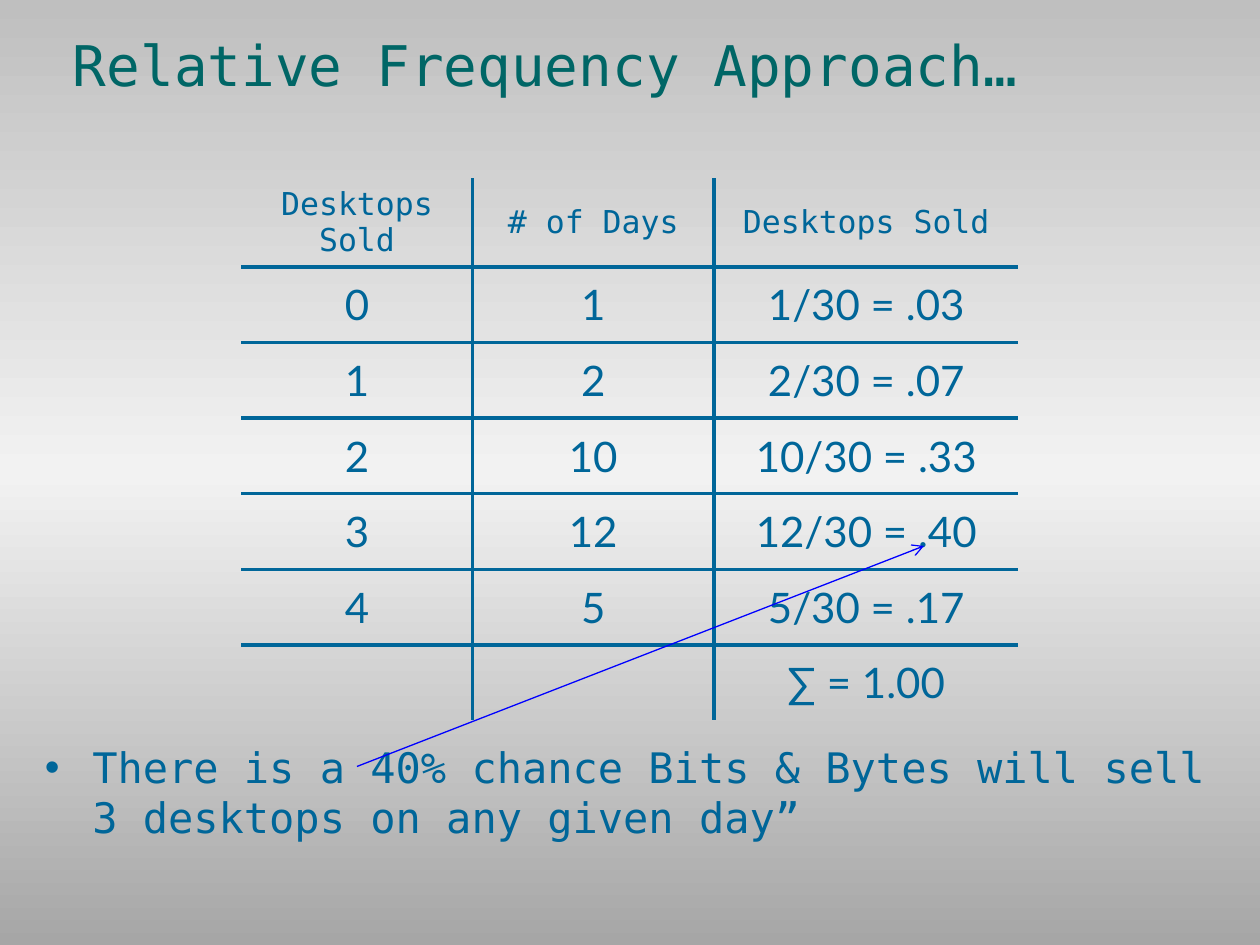
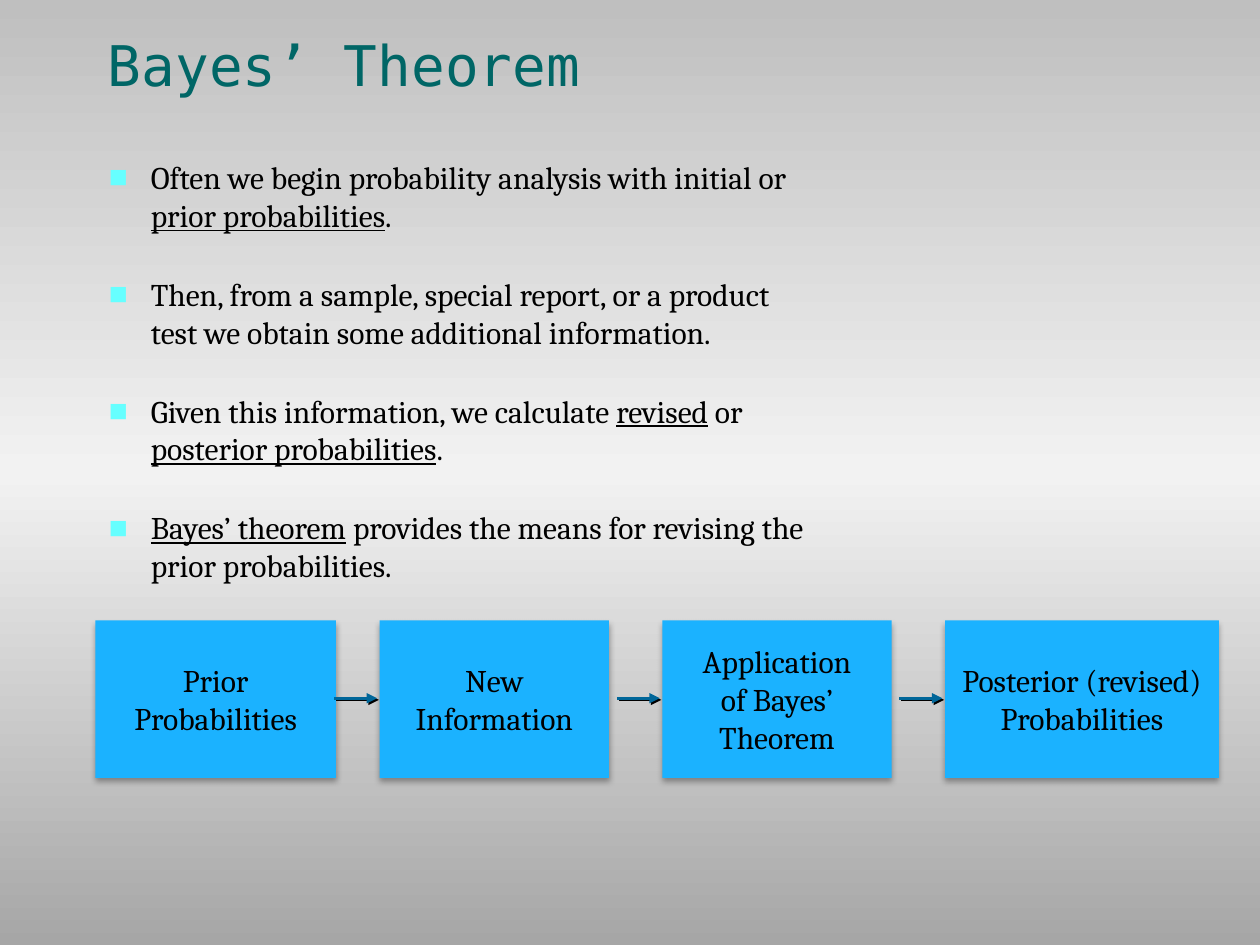
from copy import deepcopy

from lxml.etree import fromstring
from pptx import Presentation
from pptx.dml.color import RGBColor
from pptx.enum.shapes import MSO_CONNECTOR as Connector, MSO_SHAPE as Shape
from pptx.enum.text import MSO_ANCHOR as Anchor, MSO_AUTO_SIZE as AutoSize, PP_ALIGN as Align
from pptx.oxml.ns import nsdecls, qn
from pptx.util import Pt

MONO, SANS, SERIF = "DejaVu Sans Mono", "Lato", "Cambria"
TEAL, BLUE, BLACK = "006666", "006699", "000000"
SKY, CYAN, ARROW_BLUE = "1BB2FF", "66FFFF", "0000FF"
BACKGROUND = ["BFBFBF", "F2F2F2", "A6A6A6"]
EFFECTS = "<a:effectLst {ns}/>"
SHADOW = (
    '<a:effectLst {{ns}}><a:outerShdw blurRad="{blur}" dist="{distance}" dir="{angle}" rotWithShape="0">'
    '<a:srgbClr val="000000"><a:alpha val="{alpha}"/></a:srgbClr></a:outerShdw></a:effectLst>'
)
BOX_SHADOW = SHADOW.format(blur=Pt(3.5), distance=Pt(2.2), angle=5400000, alpha=32000)
ARROW_SHADOW = SHADOW.format(blur=0, distance=Pt(1.4), angle=2700000, alpha=100000)
from_hex = RGBColor.from_string


def append_xml(parent, markup):
    parent.append(fromstring(markup.replace("{ns}", nsdecls("a"))))


def write(frame, *texts, font=MONO, size=18, color=BLACK, align=Align.LEFT, line_spacing=1.0,
          gap=0, bullet=None, bullet_color=None, indent=0):
    """Fill a frame with one paragraph per text; words between underscores are underlined."""
    for index, text in enumerate(texts):
        paragraph = frame.add_paragraph() if index else frame.paragraphs[0]
        paragraph.alignment = align
        paragraph.line_spacing = line_spacing
        paragraph.space_before = Pt(gap if index else 0)
        if bullet:
            properties = paragraph._p.get_or_add_pPr()
            properties.set("marL", str(Pt(indent)))
            properties.set("indent", str(-Pt(indent)))
            append_xml(properties, f'<a:buClr {{ns}}><a:srgbClr val="{bullet_color or color}"/></a:buClr>')
            append_xml(properties, f'<a:buChar {{ns}} char="{bullet}"/>')
        for part, piece in enumerate(text.split("_")):
            if piece:
                run = paragraph.add_run()
                run.text = piece
                run.font.name = font
                run.font.size = Pt(size)
                run.font.color.rgb = from_hex(color)
                if part % 2:
                    run.font.underline = True


presentation = Presentation()
presentation.slide_width, presentation.slide_height = Pt(720), Pt(540)

# Shared gradient background
master = presentation.slide_master
background = master.background.fill
background.gradient()
background.gradient_angle = 270
stop_list = master.element.find(".//" + qn("a:gsLst"))
stop_list.append(deepcopy(stop_list[-1]))
for index, (stop, color) in enumerate(zip(background.gradient_stops, BACKGROUND)):
    stop.position = index / 2
    stop.color.rgb = from_hex(color)

# Slides with their titles and lists: (title, title box, list box, list anchor, items, item format)
contents = [
    ("Relative Frequency Approach…", (34.5, 8, 649.5, 52), (18.5, 420, 701.5, 96), Anchor.TOP,
     ["There is a 40% chance Bits & Bytes will sell 3 desktops on any given day”"],
     dict(size=24, color=BLUE, bullet="•", indent=27)),
    ("Bayes’ Theorem", (54.5, 12, 612, 48), (55, 75, 416, 274), Anchor.MIDDLE,
     ["Often we begin probability analysis with initial or _prior probabilities_.",
      "Then, from a sample, special report, or a product test we obtain some additional information.",
      "Given this information, we calculate _revised_ or _posterior probabilities_.",
      "_Bayes’ theorem_ provides the means for revising the prior probabilities."],
     dict(font=SERIF, gap=23.5, bullet="■", bullet_color=CYAN, indent=24)),
]
slides = []
for title, title_box, list_box, list_anchor, items, item_format in contents:
    slide = presentation.slides.add_slide(presentation.slide_layouts[1])
    slides.append(slide)
    heading, body = slide.placeholders
    for placeholder, box, anchor in ((heading, title_box, Anchor.BOTTOM), (body, list_box, list_anchor)):
        placeholder.left, placeholder.top, placeholder.width, placeholder.height = map(Pt, box)
        frame = placeholder.text_frame
        frame.auto_size = AutoSize.NONE
        frame.word_wrap = True
        frame.vertical_anchor = anchor
    write(heading.text_frame, title, size=32, color=TEAL, line_spacing=0.9)
    write(body.text_frame, *items, **item_format)
frequency_slide, bayes_slide = slides

# Frequency table with inner rules only
rows = [
    ("Desktops Sold", "# of Days", "Desktops Sold"),
    ("0", "1", "1/30 = .03"),
    ("1", "2", "2/30 = .07"),
    ("2", "10", "10/30 = .33"),
    ("3", "12", "12/30 = .40"),
    ("4", "5", "5/30 = .17"),
    ("", "", "∑ = 1.00"),
]
column_widths = [132, 138, 174]
row_heights = [50.5] + [43.2] * (len(rows) - 1)
table = frequency_slide.shapes.add_table(
    len(rows), len(column_widths), Pt(138), Pt(102), Pt(sum(column_widths)), Pt(sum(row_heights))).table
table.first_row = table.horz_banding = False
for column, width in zip(table.columns, column_widths):
    column.width = Pt(width)
for row, height in zip(table.rows, row_heights):
    row.height = Pt(height)
for row_index, row in enumerate(rows):
    for column_index, text in enumerate(row):
        cell = table.cell(row_index, column_index)
        cell.vertical_anchor = Anchor.MIDDLE
        inner_sides = {
            "L": column_index > 0,
            "R": column_index < len(row) - 1,
            "T": row_index > 0,
            "B": row_index < len(rows) - 1,
        }
        for side, is_inner in inner_sides.items():
            fill = f'<a:solidFill><a:srgbClr val="{BLUE}"/></a:solidFill>' if is_inner else "<a:noFill/>"
            append_xml(cell._tc.get_or_add_tcPr(), f'<a:ln{side} {{ns}} w="{Pt(2.25)}">{fill}</a:ln{side}>')
        cell.fill.background()
        font, size = (SANS, 24) if row_index else (MONO, 18)
        write(cell.text_frame, text, font=font, size=size, color=BLUE, align=Align.CENTER)

# Process boxes: (left, width, lines)
steps = [
    (54.5, 137.5, ["Prior", "Probabilities"]),
    (217, 131, ["New", "Information"]),
    (378.5, 131, ["Application", "of Bayes’", "Theorem"]),
    (540, 156.5, ["Posterior (revised)", "Probabilities"]),
]
for left, width, lines in steps:
    box = bayes_slide.shapes.add_shape(Shape.RECTANGLE, Pt(left), Pt(354.5), Pt(width), Pt(90))
    box.fill.solid()
    box.fill.fore_color.rgb = from_hex(SKY)
    box.line.fill.background()
    append_xml(box.element.spPr, BOX_SHADOW)
    box.text_frame.word_wrap = False
    box.text_frame.vertical_anchor = Anchor.MIDDLE
    write(box.text_frame, *lines, font=SERIF, align=Align.CENTER)

# Arrows: one to the 40% cell, and one that ends just before each later box
arrows = [(frequency_slide, (204, 438, 528, 312), ARROW_BLUE, 0.75, "arrow", EFFECTS)]
for left, width, lines in steps[1:]:
    arrows.append((bayes_slide, (left - 26, 399, left - 1.5, 399), BLUE, 1.5, "triangle", ARROW_SHADOW))
for slide, ends, color, weight, head, effects in arrows:
    arrow = slide.shapes.add_connector(Connector.STRAIGHT, *map(Pt, ends))
    arrow.line.color.rgb = from_hex(color)
    arrow.line.width = Pt(weight)
    properties = arrow.element.spPr
    append_xml(properties.find(qn("a:ln")), f'<a:tailEnd {{ns}} type="{head}"/>')
    append_xml(properties, effects)

presentation.save("out.pptx")
